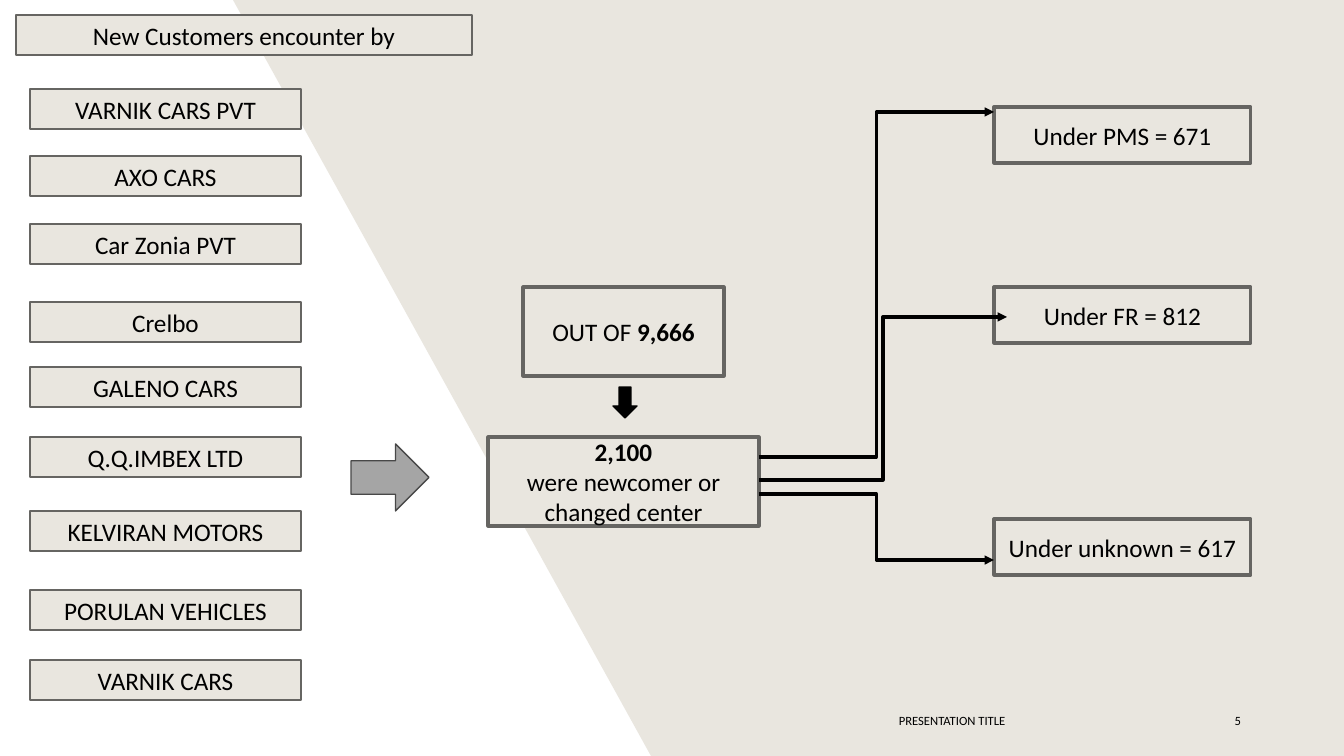
from dataclasses import dataclass

from lxml import etree
from pptx import Presentation
from pptx.dml.color import RGBColor
from pptx.enum.shapes import MSO_CONNECTOR, MSO_SHAPE
from pptx.enum.text import MSO_ANCHOR, PP_ALIGN
from pptx.oxml.ns import qn
from pptx.util import Pt

RECT, DOWN, RIGHT = MSO_SHAPE.RECTANGLE, MSO_SHAPE.DOWN_ARROW, MSO_SHAPE.RIGHT_ARROW
ELBOW = MSO_CONNECTOR.ELBOW
MID = MSO_ANCHOR.MIDDLE
CENTER, END = PP_ALIGN.CENTER, PP_ALIGN.RIGHT


@dataclass(frozen=True)
class Theme:
    font: str = "Calibri"
    body: int = 18
    small: int = 9
    thin: float = 1
    thick: float = 2.25
    sand: str = "E9E6DF"
    edge: str = "666562"
    ink: str = "000000"
    gray: str = "A5A5A5"
    dark: str = "484848"


# Content: text is a list of paragraphs, each a list of (words, bold) runs
HEAD = "New Customers encounter by"
DEALERS = [  # name, top
    ("VARNIK CARS PVT", 89), ("AXO CARS", 156), ("Car Zonia PVT", 224),
    ("Crelbo", 302), ("GALENO CARS", 367), ("Q.Q.IMBEX LTD", 437),
    ("KELVIRAN MOTORS", 511), ("PORULAN VEHICLES", 590), ("VARNIK CARS", 660),
]
TOTAL = [[("OUT OF ", False), ("9,666", True)]]
NEW = [[("2,100", True)], [("were newcomer or changed center", False)]]
GROUPS = [("Under PMS = 671", 107), ("Under FR = 812", 287), ("Under unknown = 617", 519)]
LINKS = [(457, 994, 112), (480, 1007, 317), (494, 994, 560)]  # from y, to x, to y
FOOT = [("PRESENTATION TITLE", (744, 701, 416, 40), CENTER), ("5", (1191, 701, 60, 40), END)]

# Layout in px
WIDE, HIGH = 1344, 756
WEDGE = [(651, 756), (233, 0), (1344, 0), (1344, 756)]
HEAD_AT = (16, 15, 456, 40)
DEALER_X, DEALER_W, DEALER_H = 30, 271, 40
TOTAL_AT = (523, 287, 201, 89)
NEW_AT = (488, 437, 271, 89)
GROUP_X, GROUP_W, GROUP_H = 994, 257, 56
DOWN_AT = (613, 387, 24, 31)
RIGHT_AT = (351, 444, 78, 67)

T = Theme()
SCALE = 914400 / 100.8


def emu(*nums):
    return [round(n * SCALE) for n in nums]


def color(code):
    return RGBColor.from_string(code)


def write(shape, paras, size, align=CENTER):
    frame = shape.text_frame
    frame.word_wrap = True
    frame.vertical_anchor = MID
    for i, runs in enumerate(paras):
        para = frame.add_paragraph() if i else frame.paragraphs[0]
        para.alignment = align
        for words, bold in runs:
            run = para.add_run()
            run.text = words
            run.font.name = T.font
            run.font.size = Pt(size)
            run.font.bold = bold
            run.font.color.rgb = color(T.ink)


def draw(slide, kind, at, fill, edge, width):
    shape = slide.shapes.add_shape(kind, *emu(*at))
    shape.shadow.inherit = False
    shape.fill.solid()
    shape.fill.fore_color.rgb = color(fill)
    shape.line.color.rgb = color(edge)
    shape.line.width = Pt(width)
    return shape


def box(slide, at, paras, width):
    write(draw(slide, RECT, at, T.sand, T.edge, width), paras, T.body)


def link(slide, start, end):
    line = slide.shapes.add_connector(ELBOW, *emu(*start, *end))
    line.line.color.rgb = color(T.ink)
    line.line.width = Pt(T.thick)
    props = line._element.spPr
    etree.SubElement(props.find(qn("a:ln")), qn("a:tailEnd"), type="triangle")
    etree.SubElement(props, qn("a:effectLst"))


def main():
    deck = Presentation()
    deck.slide_width, deck.slide_height = emu(WIDE, HIGH)
    slide = deck.slides.add_slide(deck.slide_layouts[6])

    # Slanted backdrop
    pen = slide.shapes.build_freeform(*WEDGE[0], scale=SCALE)
    pen.add_line_segments(WEDGE[1:], close=True)
    wedge = pen.convert_to_shape()
    wedge.shadow.inherit = False
    wedge.fill.solid()
    wedge.fill.fore_color.rgb = color(T.sand)
    wedge.line.fill.background()

    # Footer
    for words, at, align in FOOT:
        note = slide.shapes.add_textbox(*emu(*at))
        write(note, [[(words, False)]], T.small, align)

    # Heading and dealers
    box(slide, HEAD_AT, [[(HEAD, False)]], T.thin)
    for name, top in DEALERS:
        box(slide, (DEALER_X, top, DEALER_W, DEALER_H), [[(name, False)]], T.thin)

    # Totals and groups
    box(slide, TOTAL_AT, TOTAL, T.thick)
    box(slide, NEW_AT, NEW, T.thick)
    for name, top in GROUPS:
        box(slide, (GROUP_X, top, GROUP_W, GROUP_H), [[(name, False)]], T.thick)

    # Arrows and links
    draw(slide, DOWN, DOWN_AT, T.ink, T.ink, T.thin)
    draw(slide, RIGHT, RIGHT_AT, T.gray, T.dark, T.thin)
    edge = NEW_AT[0] + NEW_AT[2]
    for y, to_x, to_y in LINKS:
        link(slide, (edge, y), (to_x, to_y))

    deck.save("out.pptx")


if __name__ == "__main__":
    main()
